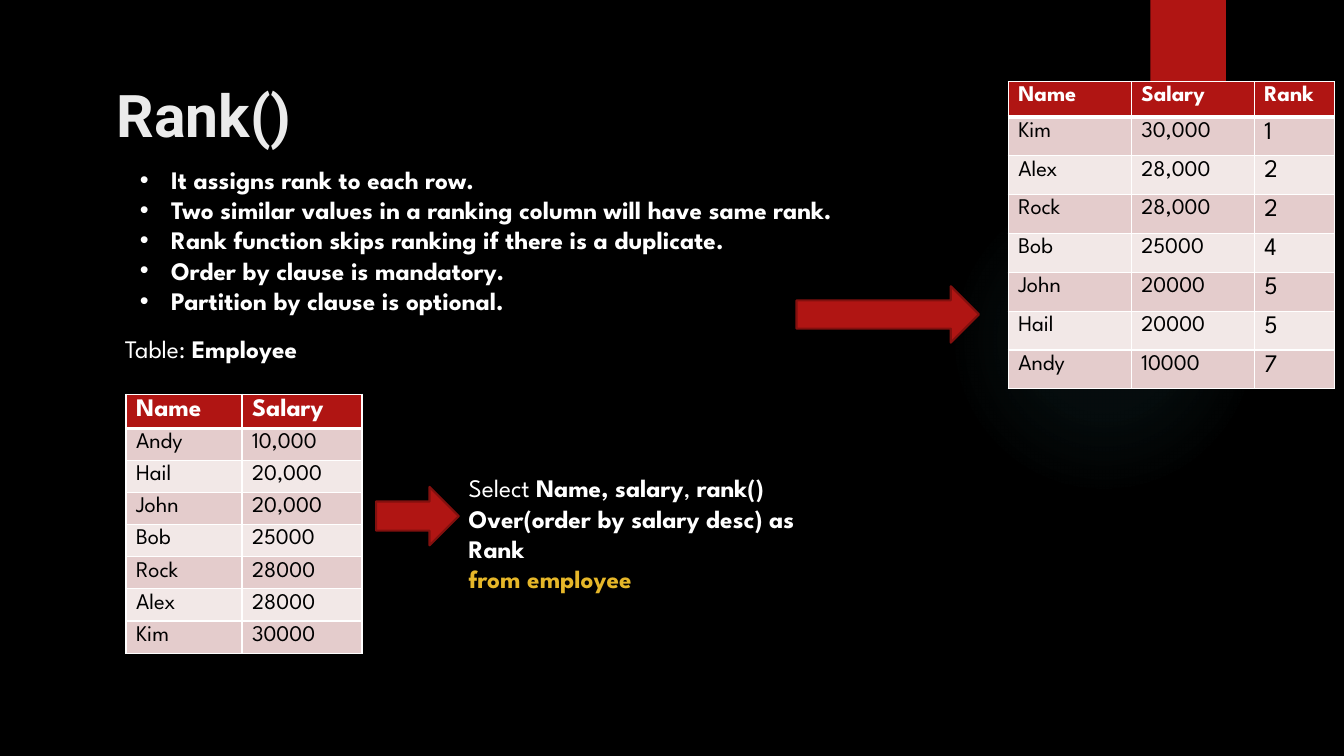
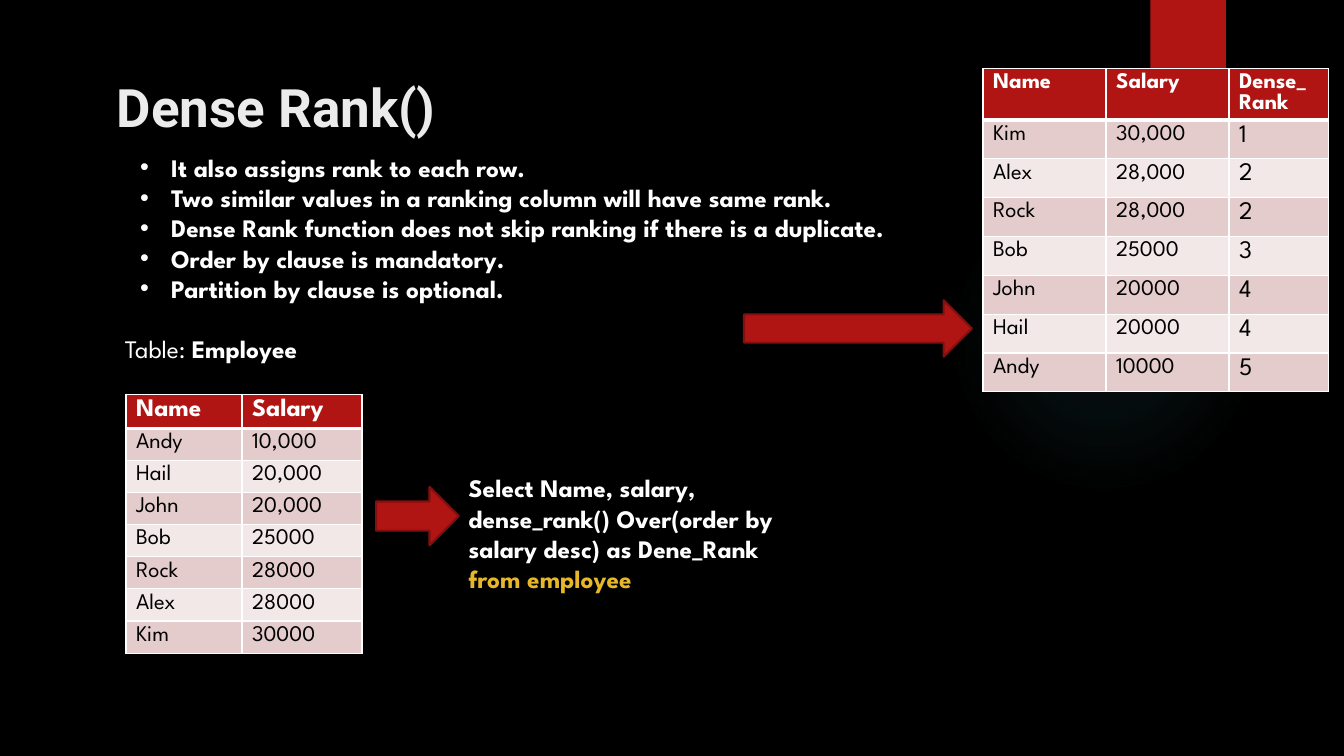
from lxml import etree
from pptx import Presentation
from pptx.dml.color import RGBColor
from pptx.enum.shapes import MSO_SHAPE
from pptx.oxml.ns import qn
from pptx.util import Inches, Pt

OVAL, RECT, ARROW = MSO_SHAPE.OVAL, MSO_SHAPE.RECTANGLE, MSO_SHAPE.RIGHT_ARROW
BLACK = RGBColor(0x00, 0x00, 0x00)
WHITE = RGBColor(0xFF, 0xFF, 0xFF)
PALE = RGBColor(0xEB, 0xEB, 0xEB)
RED = RGBColor(0xB0, 0x15, 0x13)
DARK = RGBColor(0x82, 0x10, 0x0E)
GOLD = RGBColor(0xE6, 0xB7, 0x29)
TEAL = RGBColor(0x50, 0xB9, 0xC1)
BANDS = RGBColor(0xE4, 0xCC, 0xCC), RGBColor(0xF2, 0xE8, 0xE7)
HEAD, BODY = "Roboto", "League Spartan"

# Content: a paragraph is a list of (text, bold, colour) runs
STAFF = [
    ("Name", "Salary"), ("Andy", "10,000"), ("Hail", "20,000"),
    ("John", "20,000"), ("Bob", "25000"), ("Rock", "28000"),
    ("Alex", "28000"), ("Kim", "30000"),
]
SORTED = [
    ("Kim", "30,000"), ("Alex", "28,000"), ("Rock", "28,000"),
    ("Bob", "25000"), ("John", "20000"), ("Hail", "20000"), ("Andy", "10000"),
]
LABEL = [[("Table: ", False, WHITE), ("Employee", True, WHITE)]]
SOURCE = [("from employee", True, GOLD)]
SAME = "Two similar values in a ranking column will have same rank."
RULES = ["Order by clause is mandatory.", "Partition by clause is optional."]

SLIDES = [
    dict(
        title="Rank()", size=42, top=0.73,
        points=["It assigns rank to each row.", SAME,
                "Rank function skips ranking if there is a duplicate.", *RULES],
        list_at=(1.29, 1.58, 8.14, 2.52),
        query=[("Select ", False, WHITE), ("Name, salary", True, WHITE),
               (", ", False, WHITE),
               ("rank() Over(order by salary desc) as Rank", True, WHITE)],
        column="Rank", ranks="1224557",
        grid=dict(at=(10, 0.81), cols=(1.22, 1.22, 0.8), head=0.35),
        arrow=(7.9, 2.84, 1.81, 0.56),
    ),
    dict(
        title="Dense Rank()", size=37.8, top=0.69,
        points=["It also assigns rank to each row.", SAME,
                "Dense Rank function does not skip ranking if there is a duplicate.",
                *RULES],
        list_at=(1.29, 1.46, 8.62, 2.52),
        query=[("Select Name, salary, dense_rank() Over(order by salary desc) "
                "as Dene_Rank", True, WHITE)],
        column="Dense_Rank", ranks="1223445",
        grid=dict(at=(9.75, 0.68), cols=(1.22, 1.22, 0.99), head=0.51),
        arrow=(7.38, 2.98, 2.26, 0.56),
    ),
]


def node(parent, tag, **attrs):
    item = etree.SubElement(parent, qn(tag))
    for key, value in attrs.items():
        item.set(key, str(value))
    return item


def tint(parent, color, alpha):
    item = node(parent, "a:srgbClr", val=color)
    node(item, "a:alpha", val=alpha * 1000)


def write(frame, paras, size=18, font=BODY, space=None, bullet=False):
    frame.word_wrap = True
    for i, runs in enumerate(paras):
        para = frame.paragraphs[0] if i == 0 else frame.add_paragraph()
        if space:
            para.line_spacing = space
        if bullet:
            props = para._p.get_or_add_pPr()
            props.set("marL", str(Inches(0.31)))
            props.set("indent", str(-Inches(0.31)))
            node(props, "a:buFont", typeface="Arial")
            node(props, "a:buChar", char="•")
        for text, bold, color in runs:
            run = para.add_run()
            run.text = text
            run.font.name, run.font.size = font, Pt(size)
            run.font.bold, run.font.color.rgb = bold, color


def add_text(slide, at, paras, **style):
    box = slide.shapes.add_textbox(*map(Inches, at))
    write(box.text_frame, paras, **style)


def add_shape(slide, kind, at, line=None):
    shape = slide.shapes.add_shape(kind, *map(Inches, at))
    shape.shadow.inherit = False
    shape.fill.solid()
    shape.fill.fore_color.rgb = RED
    if line:
        shape.line.color.rgb, shape.line.width = line, Pt(1.5)
    else:
        shape.line.fill.background()
    return shape


def add_border(cell, widths):
    props = cell._tc.get_or_add_tcPr()
    for i, (side, width) in enumerate(widths.items()):
        line = node(props, "a:ln" + side, w=Pt(width))
        node(node(line, "a:solidFill"), "a:srgbClr", val=WHITE)
        props.insert(i, line)


def add_grid(slide, rows, at, cols, head, body, title=16, last=16):
    step = body / (len(rows) - 1)
    size = sum(cols), head + body
    table = slide.shapes.add_table(
        len(rows), len(cols), *map(Inches, (*at, *size))).table
    for col, width in zip(table.columns, cols):
        col.width = Inches(width)
    for r, row in enumerate(rows):
        table.rows[r].height = Inches(step if r else head)
        for c, text in enumerate(row):
            cell = table.cell(r, c)
            cell.fill.solid()
            cell.fill.fore_color.rgb = BANDS[(r - 1) % 2] if r else RED
            add_border(cell, dict(L=1, R=1, T=3 if r == 1 else 1, B=1 if r else 3))
            points = title if r == 0 else last if c == len(row) - 1 else 16
            write(cell.text_frame, [[(text, r == 0, BLACK if r else WHITE)]],
                  size=points, space=Pt(points * 0.9))


def add_decor(slide):
    # Soft round glow
    glow = add_shape(slide, OVAL, (9.41, 1.83, 3.08, 3.08))
    props = glow._element.spPr
    solid = props.find(qn("a:solidFill"))
    grad = etree.Element(qn("a:gradFill"))
    stops = node(grad, "a:gsLst")
    for place, alpha in (0, 7), (36, 6), (69, 0):
        tint(node(stops, "a:gs", pos=place * 1000), TEAL, alpha)
    way = node(grad, "a:path", path="circle")
    node(way, "a:fillToRect", l=50000, t=50000, r=50000, b=50000)
    props.replace(solid, grad)
    # Red ribbon with a shadow below
    ribbon = add_shape(slide, RECT, (11.41, 0, 0.75, 1.25))
    effects = ribbon._element.spPr.find(qn("a:effectLst"))
    shade = node(effects, "a:outerShdw", blurRad=Pt(3), dist=Pt(2), dir=90 * 60000)
    tint(shade, BLACK, 45)


def build(deck, data):
    slide = deck.slides.add_slide(deck.slide_layouts[6])
    add_decor(slide)
    add_text(slide, (1.06, data["top"], 10.24, 0.81),
             [[(data["title"], True, PALE)]], size=data["size"], font=HEAD)
    # Result and source tables
    ranked = [(*STAFF[0], data["column"])]
    ranked += [(*row, rank) for row, rank in zip(SORTED, data["ranks"])]
    add_grid(slide, ranked, body=2.7, last=18, **data["grid"])
    add_grid(slide, STAFF, (1.25, 3.91), (1.15, 1.19), 0.34, 2.23, title=18)
    # Rules, label and query
    points = [[(text, True, WHITE)] for text in data["points"]]
    add_text(slide, data["list_at"], points, bullet=True)
    add_text(slide, (1.14, 3.26, 2.49, 0.41), LABEL)
    add_text(slide, (4.55, 4.64, 3.78, 1.62), [data["query"], SOURCE])
    # Arrows from table to query to result
    for at in (3.73, 4.83, 0.82, 0.58), data["arrow"]:
        add_shape(slide, ARROW, at, line=DARK)


def main():
    deck = Presentation()
    deck.slide_width, deck.slide_height = Inches(13.33), Inches(7.5)
    back = deck.slide_master.background.fill
    back.solid()
    back.fore_color.rgb = BLACK
    for data in SLIDES:
        build(deck, data)
    deck.save("out.pptx")


if __name__ == "__main__":
    main()
